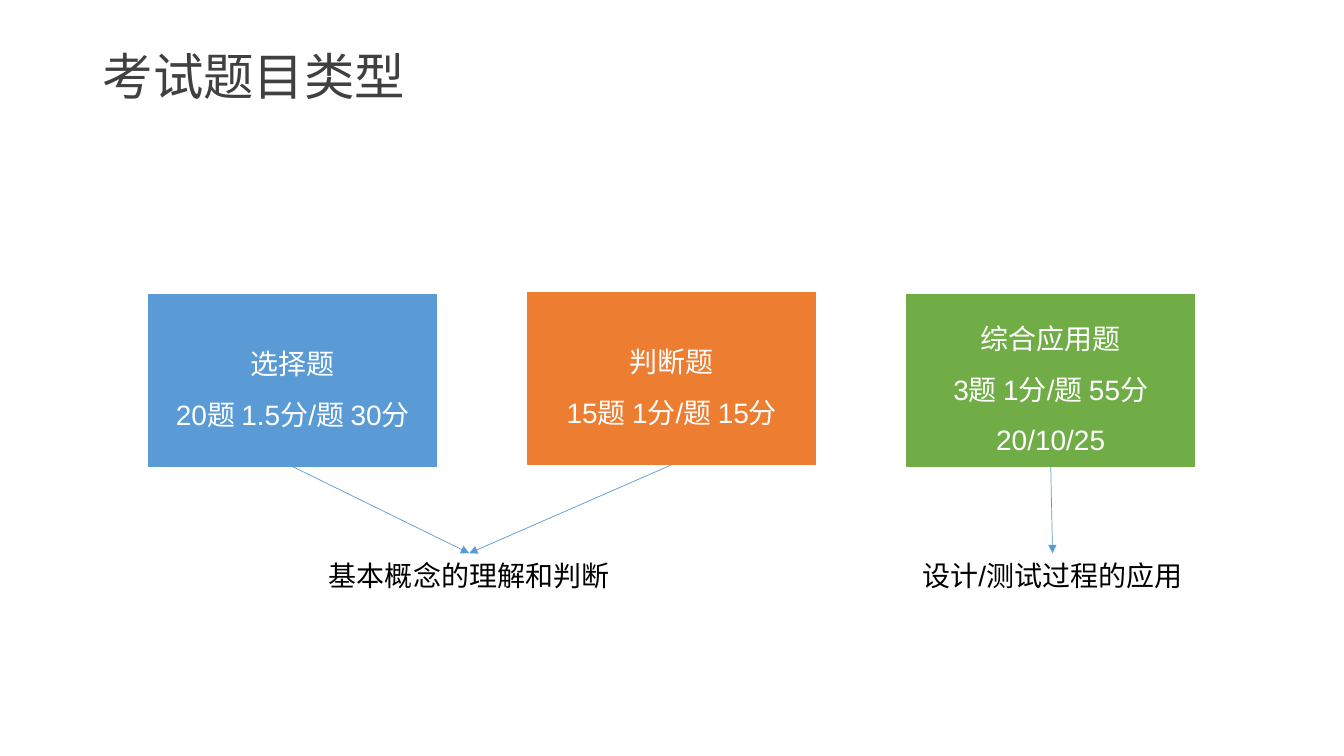
from lxml.etree import SubElement
from pptx import Presentation
from pptx.dml.color import RGBColor
from pptx.enum.shapes import MSO_CONNECTOR, MSO_SHAPE
from pptx.enum.text import MSO_ANCHOR, PP_ALIGN
from pptx.oxml.ns import qn
from pptx.util import Cm, Pt

COLORS = {
    "title": "404040",
    "blue": "5B9BD5",
    "orange": "ED7D31",
    "green": "70AD47",
    "white": "FFFFFF",
    "black": "000000",
}
LATIN_FONT = "Arial"
CJK_FONT = "Noto Sans CJK SC"
BOX_WIDTH, BOX_HEIGHT = 7.24, 4.34
CAPTION_TOP, CAPTION_WIDTH, CAPTION_HEIGHT = 13.94, 8.15, 1.12
BOTTOM_SITE, TOP_SITE = 2, 0


def rgb(name):
    return RGBColor.from_string(COLORS[name])


def write_text(shape, text, size, color, align, spacing=1.0, font=LATIN_FONT):
    frame = shape.text_frame
    frame.word_wrap = True
    frame.text = text
    for para in frame.paragraphs:
        para.alignment = align
        para.line_spacing = spacing
        for span in para.runs:
            span.font.size = Pt(size)
            span.font.color.rgb = rgb(color)
            span.font.name = font
            SubElement(span.font._element, qn("a:ea"), typeface=CJK_FONT)


def add_title(page, text):
    box = page.shapes.add_textbox(Cm(2.34), Cm(1.02), Cm(29.21), Cm(1.93))
    box.text_frame.vertical_anchor = MSO_ANCHOR.MIDDLE
    write_text(box, text, 36, "title", PP_ALIGN.LEFT, 0.9, CJK_FONT)


def add_question_box(page, left, top, color, text):
    box = page.shapes.add_shape(
        MSO_SHAPE.RECTANGLE, Cm(left), Cm(top), Cm(BOX_WIDTH), Cm(BOX_HEIGHT)
    )
    box.shadow.inherit = False
    box.fill.solid()
    box.fill.fore_color.rgb = rgb(color)
    box.line.color.rgb = rgb(color)
    box.line.width = Pt(1)
    box.text_frame.vertical_anchor = MSO_ANCHOR.MIDDLE
    write_text(box, text, 20, "white", PP_ALIGN.CENTER, 1.5)
    return box


def add_caption(page, left, text):
    box = page.shapes.add_textbox(
        Cm(left), Cm(CAPTION_TOP), Cm(CAPTION_WIDTH), Cm(CAPTION_HEIGHT)
    )
    write_text(box, text, 20, "black", PP_ALIGN.CENTER)
    return box


def add_arrow(page, question_box, caption):
    arrow = page.shapes.add_connector(MSO_CONNECTOR.STRAIGHT, 0, 0, 0, 0)
    arrow.begin_connect(question_box, BOTTOM_SITE)
    arrow.end_connect(caption, TOP_SITE)
    arrow.line.color.rgb = rgb("blue")
    arrow.line.width = Pt(0.5)
    SubElement(arrow.line._get_or_add_ln(), qn("a:tailEnd"), type="triangle")
    SubElement(arrow._element.spPr, qn("a:effectLst"))


def main():
    deck = Presentation()
    deck.slide_width, deck.slide_height = Cm(33.87), Cm(19.05)
    page = deck.slides.add_slide(deck.slide_layouts[6])

    add_title(page, "考试题目类型")
    choice = add_question_box(page, 3.76, 7.42, "blue", "选择题\n20题 1.5分/题 30分")
    judgement = add_question_box(page, 13.31, 7.37, "orange", "判断题\n15题 1分/题 15分")
    applied = add_question_box(
        page, 22.86, 7.42, "green", "综合应用题\n3题 1分/题 55分\n20/10/25"
    )
    concepts = add_caption(page, 7.75, "基本概念的理解和判断")
    practice = add_caption(page, 22.45, "设计/测试过程的应用")

    for question_box, caption in (
        (choice, concepts),
        (judgement, concepts),
        (applied, practice),
    ):
        add_arrow(page, question_box, caption)

    deck.save("out.pptx")


if __name__ == "__main__":
    main()
